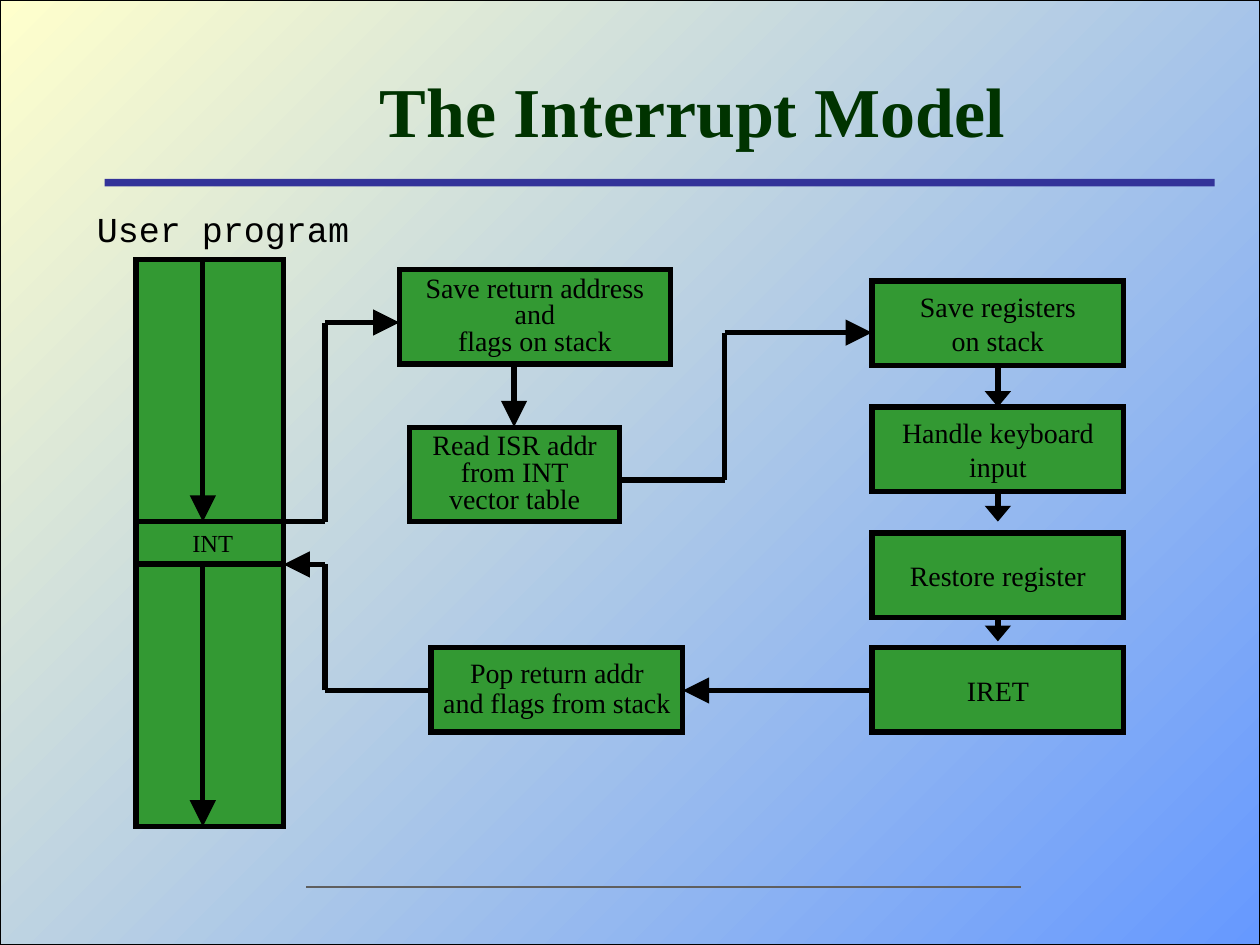
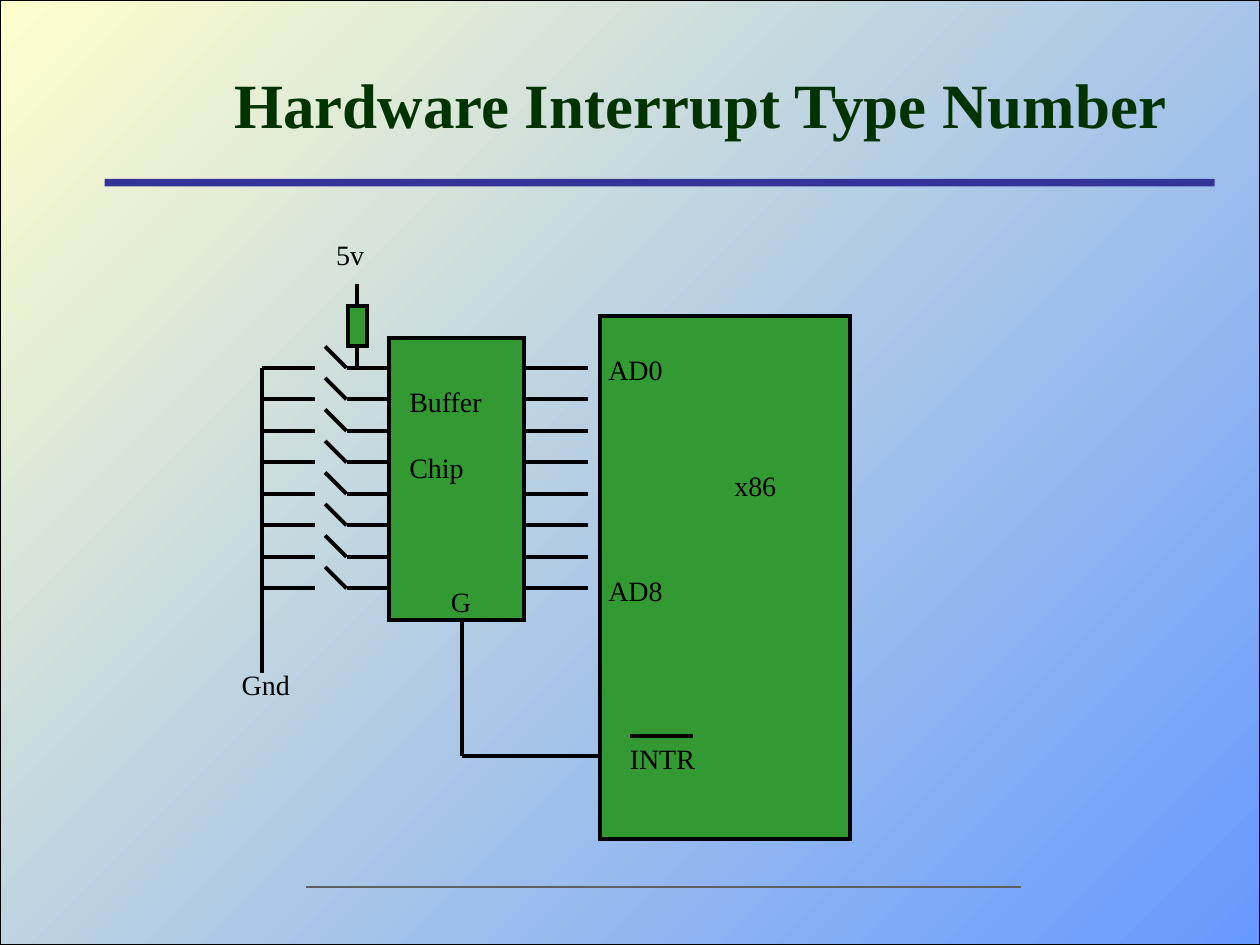
from dataclasses import dataclass

from lxml import etree
from pptx import Presentation
from pptx import util as u
from pptx.dml.color import RGBColor
from pptx.enum import shapes, text
from pptx.oxml.ns import qn


@dataclass(frozen=True)
class Theme:
    paper: RGBColor = RGBColor.from_string("FFFFCC")
    sky: RGBColor = RGBColor.from_string("6699FF")
    band: RGBColor = RGBColor.from_string("333399")
    footer: RGBColor = RGBColor.from_string("5F5F5F")
    title: RGBColor = RGBColor.from_string("003300")
    block: RGBColor = RGBColor.from_string("339933")
    ink: RGBColor = RGBColor.from_string("000000")
    serif: str = "Times New Roman"
    mono: str = "Courier New"
    model_title: int = 40
    hardware_title: int = 36
    label: int = 20
    body: int = 16
    small: int = 14
    flow: float = 3
    circuit: float = 2.25


T = Theme()
RECT = shapes.MSO_SHAPE.RECTANGLE


def wire(parent, points, weight, color=T.ink, head=None):
    """Join the points with straight lines; head is the arrowhead length at the end."""
    for start, end in zip(points, points[1:]):
        c = parent.shapes.add_connector(shapes.MSO_CONNECTOR.STRAIGHT,
                                        *map(u.Inches, start + end))
        c.line.color.rgb = color
        c.line.width = u.Pt(weight)
        sp_pr = c._element.spPr
        if head and end == points[-1]:
            etree.SubElement(sp_pr.find(qn("a:ln")), qn("a:tailEnd"),
                             type="triangle", w="lg", len=head)
        etree.SubElement(sp_pr, qn("a:effectLst"))


def block(s, at, lines=(), weight=None, font=T.serif, size=T.body, **para):
    """Add a filled box when weight is given, otherwise a plain label."""
    at = map(u.Inches, at)
    if weight:
        sp = s.shapes.add_shape(RECT, *at)
        sp.shadow.inherit = False
        sp.fill.solid()
        sp.fill.fore_color.rgb = T.block
        sp.line.color.rgb = T.ink
        sp.line.width = u.Pt(weight)
        etree.SubElement(sp._element.spPr.find(qn("a:ln")), qn("a:miter"), lim="800000")
        para = {"alignment": text.PP_ALIGN.CENTER, **para}
    else:
        sp = s.shapes.add_textbox(*at)
        sp.text_frame.auto_size = text.MSO_AUTO_SIZE.SHAPE_TO_FIT_TEXT
    tf = sp.text_frame
    tf.word_wrap = False
    for i, line in enumerate(lines):
        p = tf.paragraphs[0] if i == 0 else tf.add_paragraph()
        r = p.add_run()
        r.text = line
        r.font.name, r.font.size = font, u.Pt(size)
        r.font.color.rgb = T.ink
        for name, value in para.items():
            if i or name != "space_before":
                setattr(p, name, value)


prs = Presentation()
prs.slide_width, prs.slide_height = u.Inches(10), u.Inches(7.5)
layout = prs.slide_layouts[5]
layout.background.fill.solid()
layout.background.fill.fore_color.rgb = T.paper

slides = []
for title, size, at in [
    ("The Interrupt Model ", T.model_title, (1.46, 0.33, 8.21, 1.08)),
    ("Hardware Interrupt Type Number", T.hardware_title, (1.22, 0.28, 8.68, 1.08)),
]:
    s = prs.slides.add_slide(layout)
    sp = s.shapes.title
    sp.left, sp.top, sp.width, sp.height = map(u.Inches, at)
    tf = sp.text_frame
    tf.text = title
    tf.auto_size = text.MSO_AUTO_SIZE.NONE
    tf.vertical_anchor = text.MSO_ANCHOR.MIDDLE
    p = tf.paragraphs[0]
    p.alignment = text.PP_ALIGN.CENTER
    font = p.runs[0].font
    for name, value in {"name": T.serif, "size": u.Pt(size), "bold": True}.items():
        setattr(font, name, value)
    font.color.rgb = T.title
    slides.append(s)
model, hardware = slides

# Shared backdrop, title band and footer rule: drawn once, then moved to the layout
backdrop = model.shapes.add_shape(RECT, 0, 0, prs.slide_width, prs.slide_height)
backdrop.shadow.inherit = False
backdrop.fill.gradient()
backdrop.fill.gradient_angle = 135
for stop, color in zip(backdrop.fill.gradient_stops, (T.sky, T.paper)):
    stop.color.rgb = color
backdrop.line.color.rgb = T.ink
backdrop.line.width = u.Pt(0.75)
band = model.shapes.add_shape(RECT, *map(u.Inches, (0.83, 1.42, 8.81, 0.06)))
band.shadow.inherit = False
band.fill.solid()
band.fill.fore_color.rgb = T.band
band.line.fill.background()
wire(model, [(2.43, 7.04), (8.1, 7.04)], 1.5, T.footer)
for i, sp in enumerate(list(model.shapes)[1:]):
    layout.element.cSld.spTree.insert(2 + i, sp._element)

# Interrupt model: program column
for top in (2.06, 4.48):
    block(model, (1.08, top, 1.17, 2.08), weight=T.flow)
block(model, (1.08, 4.14, 1.17, 0.33), [" INT"], T.flow, size=T.small)
block(model, (0.67, 1.6, 2.3, 0.44), ["User program"], font=T.mono, size=T.label)

# Interrupt model: processor steps, then service routine steps
for at, spacing, lines in [
    ((3.17, 2.14, 2.15, 0.75), 0.8, ["Save return address", "and", "flags on stack"]),
    ((3.25, 3.39, 1.67, 0.75), 0.8, ["Read ISR addr", "from INT", "vector table"]),
    ((3.42, 5.14, 2, 0.67), 0.9, ["Pop return addr", "and flags from stack"]),
]:
    block(model, at, lines, T.flow, line_spacing=spacing)
for top, lines in [
    (2.23, ["Save registers", "on stack"]),
    (3.23, ["Handle keyboard", "input"]),
    (4.23, ["Restore register"]),
    (5.14, ["IRET"]),
]:
    block(model, (6.92, top, 2, 0.67), lines, T.flow)

for route in [
    [(1.61, 2.06), (1.61, 4.14)],
    [(2.25, 4.14), (2.58, 4.14), (2.58, 2.56), (3.17, 2.56)],
    [(4.08, 2.89), (4.08, 3.39)],
    [(4.92, 3.81), (5.75, 3.81), (5.75, 2.64), (6.92, 2.64)],
    [(6.92, 5.48), (5.42, 5.48)],
    [(3.42, 5.48), (2.58, 5.48), (2.58, 4.48), (2.25, 4.48)],
    [(1.61, 4.48), (1.61, 6.56)],
]:
    wire(model, route, T.flow, head="lg")
for top, bottom in [(2.89, 3.23), (3.89, 4.14), (4.89, 5.09)]:
    wire(model, [(7.92, top), (7.92, bottom)], T.flow, head="med")

# Hardware: pull-up resistor, buffer chip and processor
for at in [(2.76, 2.43, 0.15, 0.32), (3.09, 2.68, 1.07, 2.24), (4.76, 2.51, 1.99, 4.15)]:
    block(hardware, at, weight=T.circuit)

# Hardware: eight switches on the left of the buffer, eight data lines on the right
for i in range(8):
    y = 2.92 + 0.25 * i
    switch = hardware.shapes.add_group_shape()
    wire(switch, [(2.08, y), (2.5, y)], T.circuit)
    wire(switch, [(2.58, y - 0.17), (2.75, y), (3.08, y)], T.circuit)
    wire(hardware, [(4.17, y), (4.67, y)], T.circuit)

for route in [
    [(2.83, 2.25), (2.83, 2.42)],
    [(2.83, 2.75), (2.83, 2.92)],
    [(2.08, 2.92), (2.08, 5.34)],
    [(4.75, 6), (3.67, 6), (3.67, 4.92)],
    [(5, 5.84), (5.5, 5.84)],
]:
    wire(hardware, route, T.circuit)

for label, left, top, width in [
    ("5v", 2.57, 1.84, 0.42),
    ("Gnd", 1.82, 5.25, 0.58),
    ("AD0", 4.73, 2.75, 0.63),
    ("AD8", 4.73, 4.5, 0.63),
    ("x86", 5.73, 3.67, 0.54),
    ("G", 3.48, 4.59, 0.36),
    ("INTR", 4.9, 5.84, 0.72),
]:
    block(hardware, (left, top, width, 0.37), [label])
block(hardware, (3.15, 3, 0.78, 0.9), ["Buffer", "Chip"], space_before=u.Pt(19))

prs.save("out.pptx")
